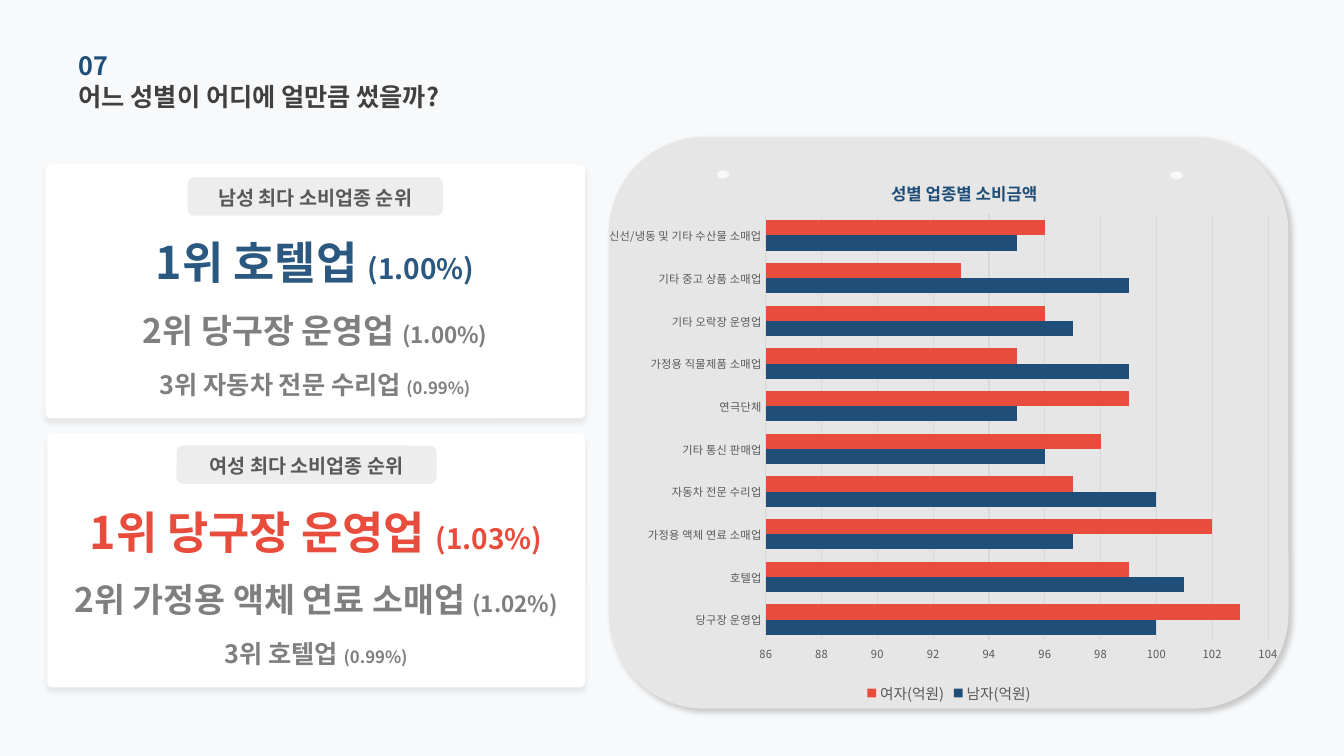
from lxml.etree import SubElement
from pptx import Presentation
from pptx.chart.data import CategoryChartData
from pptx.dml.color import RGBColor
from pptx.enum.chart import XL_CHART_TYPE, XL_LEGEND_POSITION, XL_TICK_MARK
from pptx.enum.shapes import MSO_SHAPE
from pptx.enum.text import MSO_ANCHOR, PP_ALIGN
from pptx.oxml import parse_xml
from pptx.oxml.ns import nsdecls, qn
from pptx.util import Inches, Pt

FONT = "Noto Sans CJK KR"
HUE = {
    "back": "F8F9FA", "panel": "E7E6E6", "card": "FFFFFF", "pill": "D0CECE",
    "dark": "404040", "text": "595959", "gray": "7F7F7F", "grid": "D9D9D9",
    "navy": "1F4E79", "blue": "2B5880", "red": "E74C3C", "black": "000000",
}
PAGE = (0, 0, Inches(13.33), Inches(7.5))

RANKS = [
    dict(box=(3.38, 21.73, 40.14, 33.6), pill=(26.36, 5.16, 47.29, 15.08),
         head="남성 최다 소비업종 순위", hue="blue",
         rows=[("1위 호텔업 ", "(1.00%)"), ("2위 당구장 운영업 ", "(1.00%)"),
               ("3위 자동차 전문 수리업 ", "(0.99%)")]),
    dict(box=(3.53, 57.33, 39.98, 33.6), pill=(24.02, 4.76, 48.41, 15.08),
         head="여성 최다 소비업종 순위", hue="red",
         rows=[("1위 당구장 운영업 ", "(1.03%)"), ("2위 가정용 액체 연료 소매업 ", "(1.02%)"),
               ("3위 호텔업 ", "(0.99%)")]),
]
# top and height in percent of the card, name size, share size
LINES = [(28.97, 19.05, 32, 20), (48.41, 33.33, 24, 16), (69.84, 33.33, 18, 12)]

# trade, men, women
SPEND = [
    ("당구장 운영업", 100, 103), ("호텔업", 101, 99),
    ("가정용 액체 연료 소매업", 97, 102), ("자동차 전문 수리업", 100, 97),
    ("기타 통신 판매업", 96, 98), ("연극단체", 95, 99),
    ("가정용 직물제품 소매업", 99, 95), ("기타 오락장 운영업", 97, 96),
    ("기타 중고 상품 소매업", 99, 93), ("신선/냉동 및 기타 수산물 소매업", 95, 96),
]


def color(name):
    return RGBColor.from_string(HUE[name])


def part(box, x, y, w, h):
    """Box inside another one, in percent of its size."""
    left, top, wide, high = box
    return (int(left + wide * x / 100), int(top + high * y / 100),
            int(wide * w / 100), int(high * h / 100))


def style(font, size, hue, bold=False):
    font.size, font.bold, font.name = Pt(size), bold, FONT
    font.color.rgb = color(hue)


def text(shapes, box, *runs, hue="dark", align=PP_ALIGN.LEFT):
    """Each run is a pair of wording and size."""
    frame = shapes.add_textbox(*box).text_frame
    frame.word_wrap = True
    frame.vertical_anchor = MSO_ANCHOR.MIDDLE
    frame.margin_left = frame.margin_right = 0
    frame.margin_top = frame.margin_bottom = 0
    para = frame.paragraphs[0]
    para.alignment = align
    for words, size in runs:
        run = para.add_run()
        run.text = words
        style(run.font, size, hue, True)
        SubElement(run.font._element, qn("a:ea")).set("typeface", FONT)


def shape(shapes, kind, box, hue, round=None, alpha=None, shade=None):
    """shade is a pair of shadow opacity in percent and angle."""
    item = shapes.add_shape(kind, *box)
    item.shadow.inherit = False
    item.fill.solid()
    item.fill.fore_color.rgb = color(hue)
    item.line.fill.background()
    if round is not None:
        item.adjustments[0] = round
    props = item._element.spPr
    if alpha:
        tone = props.find(qn("a:solidFill"))[0]
        SubElement(tone, qn("a:alpha")).set("val", str(alpha * 1000))
    if shade:
        depth, angle = shade
        props.find(qn("a:effectLst")).append(parse_xml(
            f'<a:outerShdw {nsdecls("a")} blurRad="{Pt(4)}" dist="{Pt(3)}" '
            f'dir="{angle * 60000}" algn="t" rotWithShape="0">'
            f'<a:srgbClr val="{HUE["black"]}"><a:alpha val="{depth * 1000}"/>'
            '</a:srgbClr></a:outerShdw>'))


def header(shapes, box):
    text(shapes, part(box, 0, 0, 100, 57), ("07", 18), hue="navy")
    text(shapes, part(box, 0, 43, 100, 57), ("어느 성별이 어디에 얼만큼 썼을까?", 18))


def card(shapes, box, pill, head, hue, rows):
    group = shapes.add_group_shape().shapes
    shape(group, MSO_SHAPE.ROUNDED_RECTANGLE, box, "card", round=0.02, shade=(8, 90))
    # Ranking lines
    for (name, share), (top, high, big, small), tone in zip(rows, LINES, (hue, "gray", "gray")):
        text(group, part(box, 0, top, 100, high), (name, big), (share, small),
             hue=tone, align=PP_ALIGN.CENTER)
    # Label
    label = part(box, *pill)
    shape(group, MSO_SHAPE.ROUNDED_RECTANGLE, label, "pill", alpha=36)
    text(group, part(label, 4, 0, 92, 108), (head, 14), hue="text", align=PP_ALIGN.CENTER)


def place(node, inner=False, **share):
    """Fixed layout of a chart part, in shares of the chart."""
    old = node.find(qn("c:layout"))
    if old is not None:
        node.remove(old)
    target = '<c:layoutTarget val="inner"/>' if inner else ""
    modes = "".join(f'<c:{key}Mode val="edge"/>' for key in "xy")
    sizes = "".join(f'<c:{key} val="{val}"/>' for key, val in share.items())
    layout = parse_xml(f'<c:layout {nsdecls("c")}><c:manualLayout>{target}{modes}{sizes}'
                       '</c:manualLayout></c:layout>')
    text_node = node.find(qn("c:tx"))
    node.insert(0 if text_node is None else 1, layout)


def graph(shapes, box):
    names, men, women = zip(*SPEND)
    data = CategoryChartData()
    data.categories = names
    data.add_series("남자(억원)", men)
    data.add_series("여자(억원)", women)
    chart = shapes.add_chart(XL_CHART_TYPE.BAR_CLUSTERED, *box, data).chart
    style(chart.font, 10, "text")
    # Title and legend
    chart.has_title = True
    run = chart.chart_title.text_frame.paragraphs[0].add_run()
    run.text = "성별 업종별 소비금액"
    style(run.font, 12, "navy", True)
    place(chart.chart_title._element, x=0.41, y=0.04)
    chart.has_legend = True
    chart.legend.position = XL_LEGEND_POSITION.BOTTOM
    chart.legend.include_in_layout = False
    style(chart.legend.font, 10.5, "text")
    # Bars
    plot = chart.plots[0]
    plot.gap_width, plot.overlap, plot.vary_by_categories = 80, 0, False
    for series, hue in zip(plot.series, ("navy", "red")):
        series.format.fill.solid()
        series.format.fill.fore_color.rgb = color(hue)
    place(chart._chartSpace.chart.plotArea, inner=True, x=0.23, y=0.11, w=0.74, h=0.77)
    # Axes
    value = chart.value_axis
    value.minimum_scale, value.maximum_scale, value.major_unit = 86, 104, 2
    for axis in (value, chart.category_axis):
        axis.major_tick_mark = axis.minor_tick_mark = XL_TICK_MARK.NONE
        style(axis.tick_labels.font, 8, "text")
    value.format.line.fill.background()
    for line in (value.major_gridlines.format.line, chart.category_axis.format.line):
        line.color.rgb = color("grid")
        line.width = Pt(0.75)


def panel(shapes, box):
    shape(shapes, MSO_SHAPE.ROUNDED_RECTANGLE, box, "panel", shade=(20, 45))
    for left, top in ((15.88, 5.82), (82.64, 6)):
        shape(shapes, MSO_SHAPE.OVAL, part(box, left, top, 1.78, 1.41), "back")
    graph(shapes, part(box, 0, 2.82, 100, 97))


def main():
    deck = Presentation()
    deck.slide_width, deck.slide_height = PAGE[2:]
    slide = deck.slides.add_slide(deck.slide_layouts[6])
    slide.background.fill.solid()
    slide.background.fill.fore_color.rgb = color("back")
    header(slide.shapes, part(PAGE, 5.85, 5.87, 33.91, 9.6))
    for rank in RANKS:
        card(slide.shapes, **{**rank, "box": part(PAGE, *rank["box"])})
    panel(slide.shapes, part(PAGE, 45.31, 18.13, 50.56, 75.6))
    deck.save("out.pptx")


if __name__ == "__main__":
    main()
